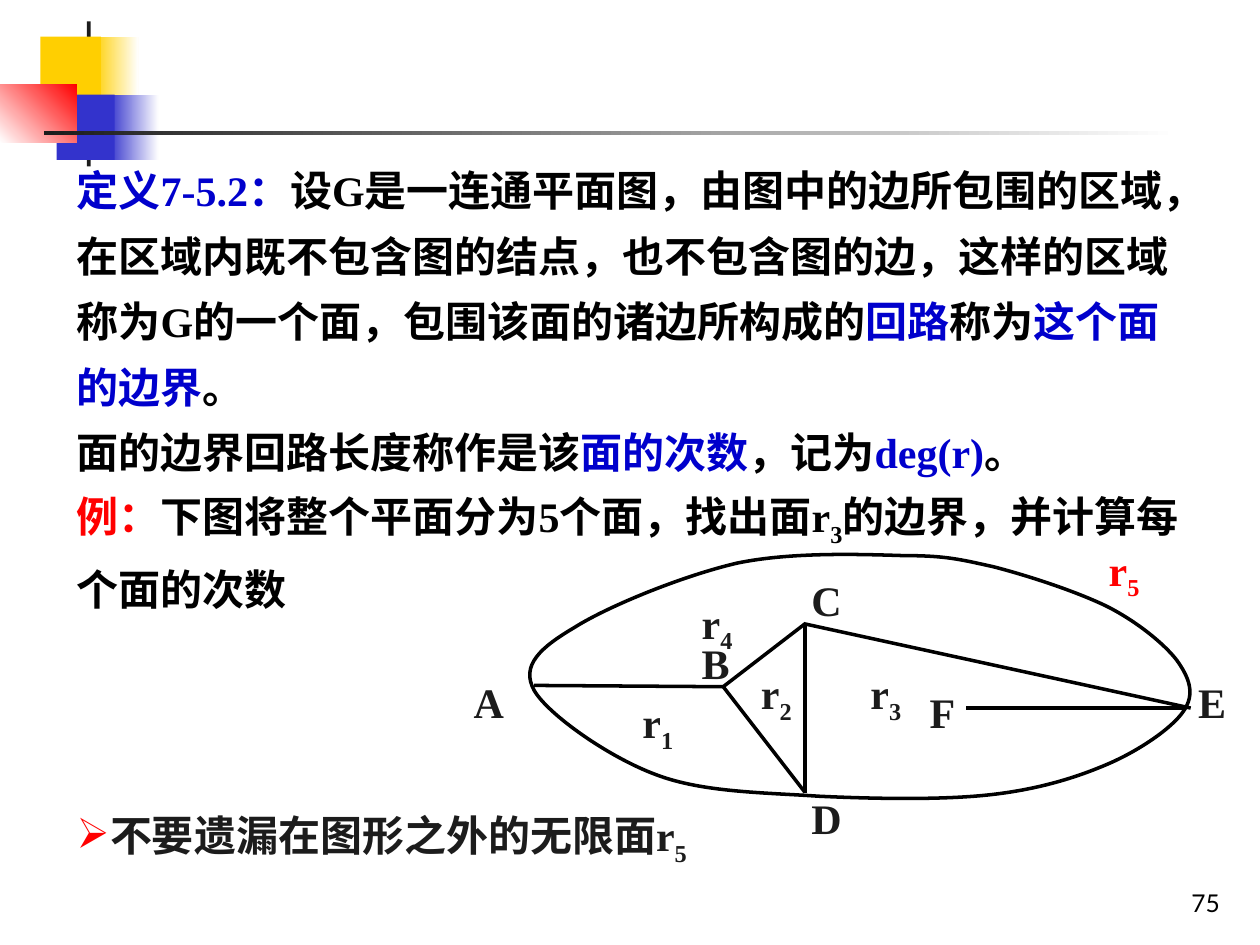
from lxml.etree import SubElement
from pptx import Presentation
from pptx.dml.color import RGBColor
from pptx.enum.shapes import MSO_CONNECTOR as Connector, MSO_SHAPE as Shape
from pptx.enum.text import MSO_ANCHOR as Anchor, MSO_AUTO_SIZE as AutoSize, PP_ALIGN as Align
from pptx.oxml.ns import qn
from pptx.util import Inches, Pt

color = RGBColor.from_string
BLACK, DARK, WHITE = "000000", "1C1C1C", "FFFFFF"
YELLOW, INDIGO, BLUE, RED = "FFCF01", "3333CC", "0000CC", "FF0000"

presentation = Presentation()
presentation.slide_width, presentation.slide_height = Inches(10), Inches(7.5)
slide = presentation.slides.add_slide(presentation.slide_layouts[6])
cell = presentation.slide_width / 100


def cells(*counts):
    return [round(count * cell) for count in counts]


def add_text(box, paragraphs, line_spacing=None, size=24, font="Times New Roman", bold=True):
    text_frame = slide.shapes.add_textbox(*cells(*box)).text_frame
    text_frame.word_wrap = True
    text_frame.auto_size = AutoSize.SHAPE_TO_FIT_TEXT
    for index, pieces in enumerate(paragraphs):
        paragraph = text_frame.add_paragraph() if index else text_frame.paragraphs[0]
        paragraph.line_spacing = line_spacing
        for text, shade, *subscript in pieces:
            run = paragraph.add_run()
            run.text = text
            run.font.size, run.font.name, run.font.bold = Pt(size), font, bold
            run.font.color.rgb = color(shade)
            if subscript:
                run.font._element.set("baseline", "-25000")
    return text_frame


decorations = [
    ((7.4, 2.9, 3.6, 5.2), (YELLOW, WHITE), 0),
    ((8.6, 7.5, 4, 5.2), (INDIGO, WHITE), 0),
    ((6.9, 1.7, 0.3, 11.5), (DARK,), 0),
    ((3.2, 2.9, 4.8, 5.2), (YELLOW,), 0),
    ((4.5, 7.5, 4.6, 5.2), (INDIGO,), 0),
    ((0, 6.7, 6.1, 4.6), (WHITE, RED), 45),
    ((3.5, 10.4, 90, 0.3), (DARK, WHITE), 0),
]
for box, shades, angle in decorations:
    block = slide.shapes.add_shape(Shape.RECTANGLE, *cells(*box))
    block.shadow.inherit = False
    block.line.fill.background()
    if len(shades) == 1:
        block.fill.solid()
        block.fill.fore_color.rgb = color(shades[0])
        continue
    block.fill.gradient()
    block.fill.gradient_angle = angle
    for position, (stop, shade) in enumerate(zip(block.fill.gradient_stops, shades)):
        stop.position = position
        stop.color.rgb = color(shade)

number_frame = add_text((77, 68.3, 20.8, 5), [[("75", BLACK)]], size=14, font="Lato", bold=False)
number_frame.auto_size = AutoSize.NONE
number_frame.vertical_anchor = Anchor.BOTTOM
number_frame.paragraphs[0].alignment = Align.RIGHT

add_text((5.1, 11.4, 90.5, 27), [
    [("定义7-5.2：", BLUE),
     ("设G是一连通平面图，由图中的边所包围的区域，在区域内既不包含图的结点，也不包含图的边，"
      "这样的区域称为G的一个面，包围该面的诸边所构成的", BLACK),
     ("回路", BLUE), ("称为", BLACK), ("这个面的边界", BLUE), ("。", BLACK)],
    [("面的边界回路长度称作是该", BLACK), ("面的次数", BLUE), ("，记为", BLACK),
     ("deg(r)", BLUE), ("。", BLACK)],
], line_spacing=1.3)
add_text((5.1, 37.1, 90.5, 10.9), [
    [("例：", RED), ("下图将整个平面分为5个面，找出面r", BLACK), ("3", BLACK, True),
     ("的边界，并计算每个面的次数", BLACK)],
], line_spacing=1.3)

outline_start = (42.4, 54.8)
outline_curves = [
    (41.3, 52.8), (42.9, 51.4), (45.6, 49.8), (48.3, 48.1), (54.2, 45.7), (58.5, 44.7),
    (62.8, 43.8), (68.3, 44), (71.7, 44.1), (75.1, 44.1), (76.2, 44.4), (78.9, 45),
    (81.6, 45.7), (85.3, 46.9), (87.8, 48.1), (90.2, 49.3), (92.4, 51.1), (93.4, 52.4),
    (94.4, 53.8), (94.9, 55.1), (93.9, 56.5), (93, 57.8), (90.4, 59.6), (87.8, 60.7),
    (85.2, 61.8), (82.2, 62.7), (78.4, 63.1), (74.6, 63.5), (69.3, 63.4), (65, 63.2),
    (60.6, 62.9), (55.8, 62.9), (52.1, 61.5), (48.3, 60.1), (43.5, 56.7), outline_start,
]
builder = slide.shapes.build_freeform(*cells(*outline_start), scale=1)
builder.add_line_segments([cells(*point) for point in outline_curves], close=True)
outline = builder.convert_to_shape()
outline.shadow.inherit = False
outline.fill.solid()
outline.fill.fore_color.rgb = color(WHITE)
outline.line.color.rgb = color(BLACK)
outline.line.width = Pt(2)
segments = list(outline._element.iter(qn("a:lnTo")))
for first, second, third in zip(segments[::3], segments[1::3], segments[2::3]):
    first.tag = qn("a:cubicBezTo")
    for segment in (second, third):
        first.append(segment[0])
        segment.getparent().remove(segment)

edges = [
    (42.4, 54.4, 57.4, 54.5),
    (57.4, 54.5, 63.9, 49.5),
    (57.4, 54.5, 63.9, 62.9),
    (63.9, 49.5, 63.9, 62.9),
    (63.8, 49.5, 94.5, 56.2),
    (94, 56.2, 76.7, 56.2),
]
for ends in edges:
    edge = slide.shapes.add_connector(Connector.STRAIGHT, *cells(*ends))
    edge.line.color.rgb = color(BLACK)
    edge.line.width = Pt(2)
    SubElement(edge._element.spPr, qn("a:effectLst"))

labels = [
    ("r1", 50, 54.8), ("r2", 59.4, 52.5), ("r4", 54.7, 46.9), ("r3", 68.1, 52.5),
    ("r5", 87, 42.7), ("A", 36.6, 53.2), ("B", 54.7, 50.1), ("C", 63.4, 45.1),
    ("D", 63.4, 62.4), ("F", 72.8, 54), ("E", 94.1, 53.2),
]
for label, left, top in labels:
    shade = RED if label == "r5" else DARK
    pieces = [(label[0], shade)] + [(digit, shade, True) for digit in label[1:]]
    add_text((left, top, 5.5, 5), [pieces])

note_frame = add_text((5.1, 62.4, 90.5, 6.2), [
    [("不要遗漏在图形之外的无限面r", DARK), ("5", DARK, True)],
], line_spacing=1.3)
properties = note_frame.paragraphs[0]._p.get_or_add_pPr()
SubElement(SubElement(properties, qn("a:buClr")), qn("a:srgbClr"), val=RED)
SubElement(properties, qn("a:buChar"), char="➢")

presentation.save("out.pptx")
